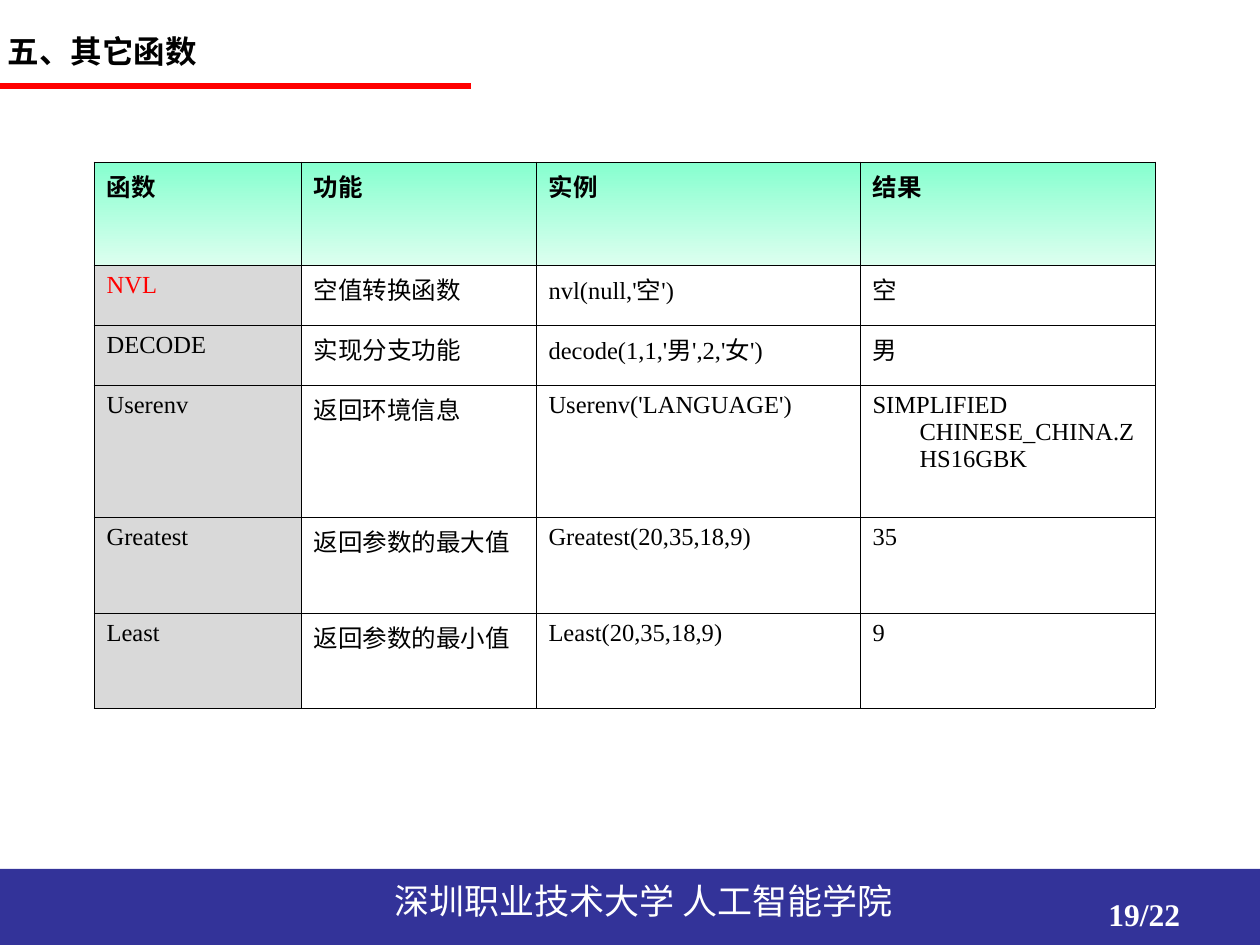
import pptx
import pptx.dml.color
import pptx.enum.shapes
import pptx.enum.text
import pptx.oxml
import pptx.oxml.ns
import pptx.util
from dataclasses import dataclass

PX = 914400 / 126


@dataclass(frozen=True)
class Theme:
    ink: str = "000000"
    paper: str = "FFFFFF"
    accent: str = "FF0000"
    band: str = "333399"
    name_fill: str = "D9D9D9"
    header_top: str = "86FFCF"
    header_bottom: str = "DCFFEF"
    heading_size: int = 18
    school_size: int = 20
    table_size: int = 14
    border: float = 0.45
    rule: int = 3
    heading_font: str = "Arial"
    table_font: str = "Times New Roman"
    school_font: str = "Noto Sans CJK SC"


THEME = Theme()

COLUMNS = [207, 235, 324, 295]
ROWS = [103, 60, 60, 132, 96, 95]
FUNCTIONS = [
    ["函数", "功能", "实例", "结果"],
    ["NVL", "空值转换函数", "nvl(null,'空')", "空"],
    ["DECODE", "实现分支功能", "decode(1,1,'男',2,'女')", "男"],
    ["Userenv", "返回环境信息", "Userenv('LANGUAGE')",
     "SIMPLIFIED CHINESE_CHINA.ZHS16GBK"],
    ["Greatest", "返回参数的最大值", "Greatest(20,35,18,9)", "35"],
    ["Least", "返回参数的最小值", "Least(20,35,18,9)", "9"],
]


def px(length):
    return pptx.util.Emu(round(length * PX))


def rgb(value):
    return pptx.dml.color.RGBColor.from_string(value)


def style_text(para, face, size, color, bold=False):
    para.alignment = pptx.enum.text.PP_ALIGN.LEFT
    para.font.name = face
    para.font.size = pptx.util.Pt(size)
    para.font.bold = bold
    para.font.color.rgb = rgb(color)


def fill_frame(frame, text, *style, **options):
    frame.word_wrap = True
    frame.vertical_anchor = pptx.enum.text.MSO_ANCHOR.TOP
    frame.text = text
    style_text(frame.paragraphs[0], *style, **options)


def add_label(page, box, text, *style, **options):
    label = page.shapes.add_textbox(*map(px, box))
    fill_frame(label.text_frame, text, *style, **options)


def add_heading(page, box):
    left, top, width, height = box
    title = page.shapes.title
    title.left, title.top = px(left - 5), px(top + 26)
    title.width, title.height = px(width), px(height)
    fill_frame(title.text_frame, "五、其它函数", THEME.heading_font,
               THEME.heading_size, THEME.ink, bold=True)
    title.text_frame.auto_size = pptx.enum.text.MSO_AUTO_SIZE.NONE
    rule = page.shapes.add_connector(
        pptx.enum.shapes.MSO_CONNECTOR.STRAIGHT,
        px(left), px(top + 86), px(left + 471), px(top + 86))
    rule.line.color.rgb = rgb(THEME.accent)
    rule.line.width = pptx.util.Pt(THEME.rule)
    properties = rule._element.spPr
    properties.append(pptx.oxml.parse_xml(
        f'<a:effectLst {pptx.oxml.ns.nsdecls("a")}/>'))


def add_borders(cell):
    properties = cell._tc.get_or_add_tcPr()
    width = pptx.util.Pt(THEME.border)
    for side in ("lnL", "lnR", "lnT", "lnB"):
        properties.append(pptx.oxml.parse_xml(
            f'<a:{side} {pptx.oxml.ns.nsdecls("a")} w="{width}">'
            f'<a:solidFill><a:srgbClr val="{THEME.ink}"/></a:solidFill>'
            f'</a:{side}>'))


def fill_cell(cell, row, column):
    if row == 0:
        cell.fill.gradient()
        cell.fill.gradient_angle = 270
        colors = (THEME.header_top, THEME.header_bottom)
        for position, (stop, color) in enumerate(
                zip(cell.fill.gradient_stops, colors)):
            stop.color.rgb = rgb(color)
            stop.position = position
    elif column == 0:
        cell.fill.solid()
        cell.fill.fore_color.rgb = rgb(THEME.name_fill)
    else:
        cell.fill.background()


def add_function_table(page, box):
    table = page.shapes.add_table(
        len(ROWS), len(COLUMNS), *map(px, box)).table
    table.first_row = table.horz_banding = False
    for column, width in zip(table.columns, COLUMNS):
        column.width = px(width)
    for row, height in zip(table.rows, ROWS):
        row.height = px(height)
    for row, texts in enumerate(FUNCTIONS):
        for column, text in enumerate(texts):
            cell = table.cell(row, column)
            cell.margin_left = cell.margin_right = pptx.util.Inches(0.1)
            cell.margin_top = cell.margin_bottom = pptx.util.Inches(0.05)
            cell.text = text
            para = cell.text_frame.paragraphs[0]
            indent = para._p.get_or_add_pPr()
            indent.set("marL", str(px(47)))
            indent.set("indent", str(-px(47)))
            color = THEME.accent if text == "NVL" else THEME.ink
            style_text(para, THEME.table_font, THEME.table_size, color,
                       bold=row == 0)
            add_borders(cell)
            fill_cell(cell, row, column)


def add_footer(page, box):
    left, top, width, height = box
    band = page.shapes.add_shape(
        pptx.enum.shapes.MSO_SHAPE.RECTANGLE, *map(px, box))
    band.shadow.inherit = False
    band.fill.solid()
    band.fill.fore_color.rgb = rgb(THEME.band)
    band.line.fill.background()
    add_label(page, (left + 382, top + 4, 622, 55),
              "深圳职业技术大学 人工智能学院", THEME.school_font,
              THEME.school_size, THEME.paper)
    add_label(page, (left + 1096, top + 20, 294, 66), "19/22",
              THEME.table_font, THEME.heading_size, THEME.paper, bold=True)


def main():
    deck = pptx.Presentation()
    deck.slide_width, deck.slide_height = px(1260), px(945)
    page = deck.slides.add_slide(deck.slide_layouts.get_by_name("Title Only"))
    add_footer(page, (0, 869, 1260, 76))
    add_function_table(page, (94, 162, sum(COLUMNS), sum(ROWS)))
    add_heading(page, (0, 0, 654, 88))
    deck.save("out.pptx")


if __name__ == "__main__":
    main()
